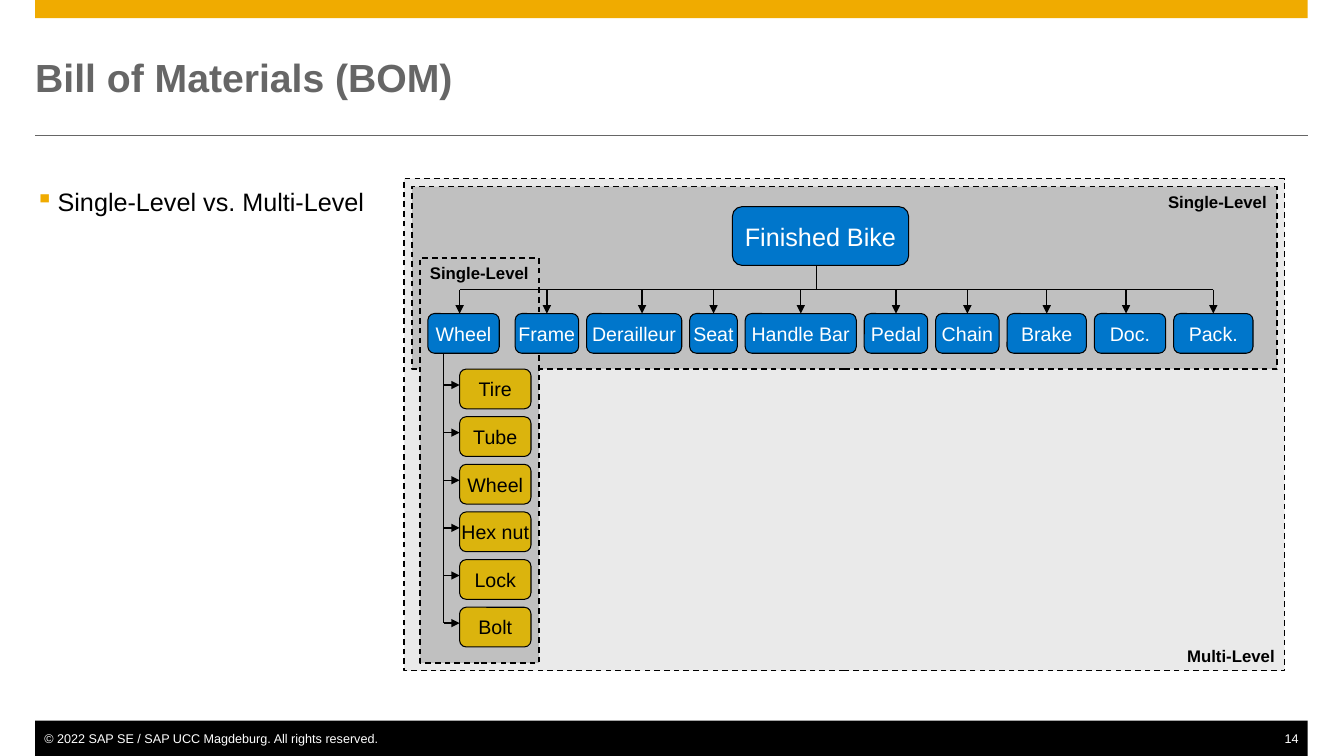
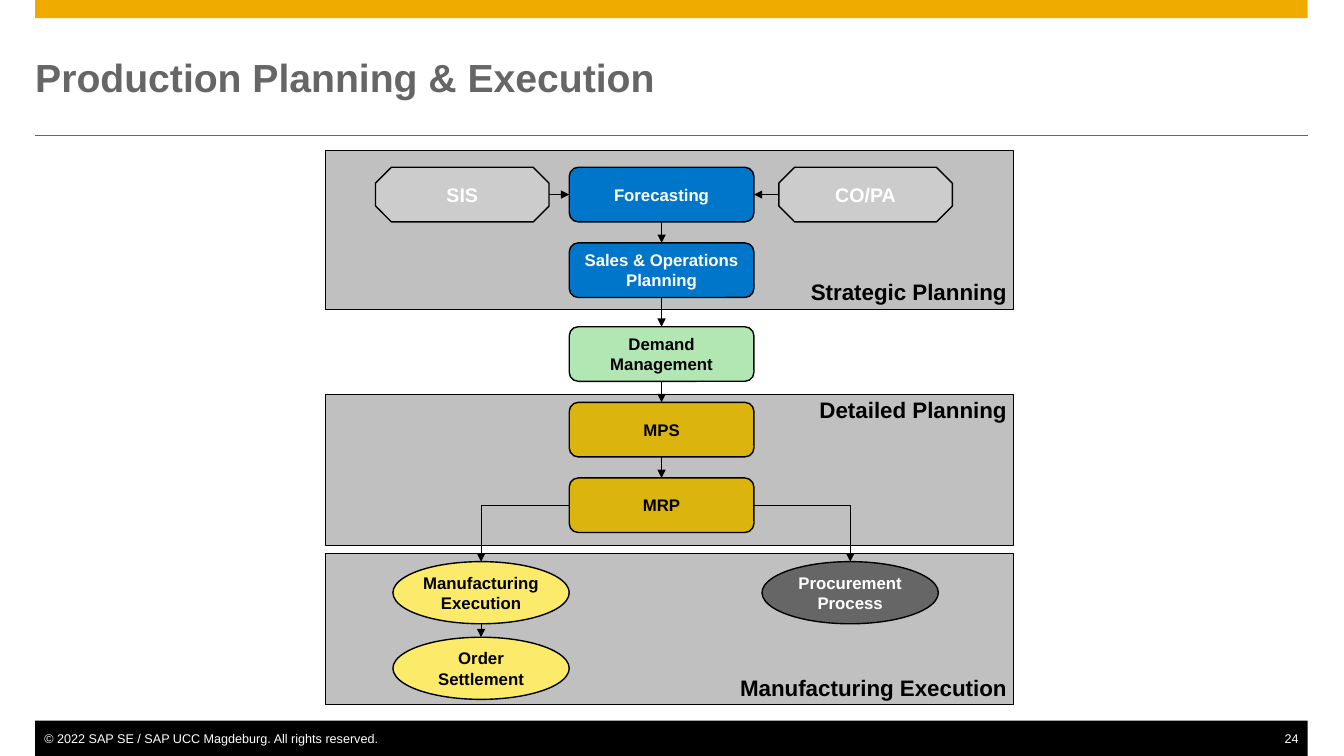
import pptx
import pptx.dml.color
import pptx.enum.dml
import pptx.enum.shapes
import pptx.enum.text
import pptx.oxml.ns
import pptx.util
from lxml import etree

Pt = pptx.util.Pt
qn = pptx.oxml.ns.qn
color = pptx.dml.color.RGBColor.from_string
SHAPE = pptx.enum.shapes.MSO_SHAPE
CONNECTOR = pptx.enum.shapes.MSO_CONNECTOR
ALIGN = pptx.enum.text.PP_ALIGN
ANCHOR = pptx.enum.text.MSO_ANCHOR

BLACK, WHITE, GRAY = "000000", "FFFFFF", "666666"
BLUE, OCHRE, ORANGE, SILVER = "0076CB", "DBB40D", "F0AB00", "C0C0C0"
GREEN, YELLOW, LIGHT_GRAY = "B2E6B2", "FCEB6A", "CCCCCC"

MARGIN, CONTENT_WIDTH = 25.2, 909.4
FOOTER_TOP, FOOTER_HEIGHT = 514.8, 25.2


def add_box(slide, kind, bounds, text="", fill=None, weight=0, dashed=False, size=12, bold=False,
            ink=BLACK, align=ALIGN.CENTER, anchor=ANCHOR.MIDDLE, insets=(7.2, 3.6, 7.2, 3.6)):
    """Add a preset shape, or a wrapping text box when kind is None."""
    lengths = [Pt(value) for value in bounds]
    if kind is None:
        shape = slide.shapes.add_textbox(*lengths)
    else:
        shape = slide.shapes.add_shape(kind, *lengths)
        shape.shadow.inherit = False
        shape.fill.solid()
        shape.fill.fore_color.rgb = color(fill)
        if weight:
            shape.line.color.rgb = color(BLACK)
            shape.line.width = Pt(weight)
        else:
            shape.line.fill.background()
        if dashed:
            shape.line.dash_style = pptx.enum.dml.MSO_LINE.DASH
    if text:
        frame = shape.text_frame
        sides = ("margin_left", "margin_top", "margin_right", "margin_bottom")
        frame_format = dict(zip(sides, map(Pt, insets)))
        frame_format.update(word_wrap=kind is None, vertical_anchor=anchor)
        for name, value in frame_format.items():
            setattr(frame, name, value)
        paragraph = frame.paragraphs[0]
        paragraph.text = text
        paragraph.alignment = align
        for line_break in paragraph._p.findall(qn("a:br")):
            etree.SubElement(line_break, qn("a:rPr"), sz=str(size * 100))
        for run in paragraph.runs:
            for name, value in {"name": "Arial", "size": Pt(size), "bold": bold}.items():
                setattr(run.font, name, value)
            run.font.color.rgb = color(ink)
    return shape


def add_line(slide, start, end, weight=1, ink=BLACK, arrow=True, elbow=False, begin=None, finish=None):
    """Draw a connector; begin and finish are (shape, site) pairs to join it to."""
    kind = CONNECTOR.ELBOW if elbow else CONNECTOR.STRAIGHT
    connector = slide.shapes.add_connector(kind, *[Pt(value) for value in (*start, *end)])
    if begin:
        connector.begin_connect(*begin)
    if finish:
        connector.end_connect(*finish)
    connector.line.color.rgb = color(ink)
    connector.line.width = Pt(weight)
    properties = connector._element.spPr
    if elbow:
        properties.find(qn("a:prstGeom")).set("prst", "bentConnector2")
    if arrow:
        etree.SubElement(properties.find(qn("a:ln")), qn("a:tailEnd"), type="triangle")
    etree.SubElement(properties, qn("a:effectLst"))


presentation = pptx.Presentation()
presentation.slide_width = Pt(960.5)
presentation.slide_height = Pt(540)

# Shared frame: top band, title, rule and footer
slides = []
for title, number in (("Bill of Materials (BOM)", "14"), ("Production Planning & Execution", "24")):
    slide = presentation.slides.add_slide(presentation.slide_layouts[6])
    slides.append(slide)
    add_box(slide, SHAPE.RECTANGLE, (MARGIN, 0, CONTENT_WIDTH, 13), fill=ORANGE)
    add_line(slide, (MARGIN, 97), (MARGIN + CONTENT_WIDTH, 97), weight=0.5, ink=GRAY, arrow=False)
    add_box(slide, SHAPE.RECTANGLE, (MARGIN, FOOTER_TOP, CONTENT_WIDTH, FOOTER_HEIGHT), fill=BLACK)
    for text, left, width, align in (
        ("© 2022 SAP SE / SAP UCC Magdeburg. All rights reserved.", MARGIN, 300, ALIGN.LEFT),
        (number, MARGIN + CONTENT_WIDTH - 40, 40, ALIGN.RIGHT),
    ):
        add_box(slide, None, (left, FOOTER_TOP, width, FOOTER_HEIGHT), text,
                size=9, ink=WHITE, align=align, insets=(6.5, 0, 6.5, 0))
    add_box(slide, None, (MARGIN, 25.2, CONTENT_WIDTH, 59.8), title,
            size=28, bold=True, ink=GRAY, align=ALIGN.LEFT, insets=(0, 0, 0, 0))
bom_slide, planning_slide = slides

# Bill of materials: bullet
bullet_box = add_box(bom_slide, None, (MARGIN, 133.2, 250, 30), "Single-Level vs. Multi-Level",
                     size=18, align=ALIGN.LEFT, anchor=ANCHOR.TOP, insets=(0, 0, 0, 0))
bullet_properties = bullet_box.text_frame.paragraphs[0]._p.get_or_add_pPr()
bullet_properties.set("marL", str(Pt(16)))
bullet_properties.set("indent", str(Pt(-16)))
bullet_color = etree.SubElement(bullet_properties, qn("a:buClr"))
etree.SubElement(bullet_color, qn("a:srgbClr"), val=ORANGE)
etree.SubElement(bullet_properties, qn("a:buChar"), char="▪")

# Bill of materials: tree, laid out in grid units from the corner of the outer frame
UNIT, TREE_LEFT, TREE_TOP = 5.67, 288.8, 127.6
BUS_ROW, PART_ROW, PART_HEIGHT = 14, 17, 5

for text, column, row, columns, rows, fill, align, anchor in (
    ("Multi-Level", 0, 0, 111, 62, "EAEAEA", ALIGN.RIGHT, ANCHOR.BOTTOM),
    ("Single-Level", 1, 1, 109, 23, SILVER, ALIGN.RIGHT, ANCHOR.TOP),
    ("Single-Level", 2, 10, 15, 51, SILVER, ALIGN.LEFT, ANCHOR.TOP),
):
    bounds = (TREE_LEFT + column * UNIT, TREE_TOP + row * UNIT, columns * UNIT, rows * UNIT)
    add_box(bom_slide, SHAPE.RECTANGLE, bounds, text, fill, weight=1, dashed=True,
            bold=True, align=align, anchor=anchor)

bus_y = TREE_TOP + BUS_ROW * UNIT
part_y = TREE_TOP + PART_ROW * UNIT
stem_x = TREE_LEFT + 52 * UNIT
add_box(bom_slide, SHAPE.ROUNDED_RECTANGLE, (523.4, 147.6, 126, 42), "Finished Bike",
        BLUE, weight=0.75, size=18, ink=WHITE)
add_line(bom_slide, (stem_x, 189.6), (stem_x, bus_y), arrow=False)

column = 3
drop_xs = []
for text, columns, drop, gap in (
    ("Wheel", 9, 4, 2), ("Frame", 8, 4, 1), ("Derailleur", 12, 7, 1), ("Seat", 6, 3, 1),
    ("Handle Bar", 14, 7, 1), ("Pedal", 8, 4, 1), ("Chain", 8, 4, 1), ("Brake", 10, 5, 1),
    ("Doc.", 9, 4, 1), ("Pack.", 10, 5, 1),
):
    part_x = TREE_LEFT + column * UNIT
    part = add_box(bom_slide, SHAPE.ROUNDED_RECTANGLE, (part_x, part_y, columns * UNIT, PART_HEIGHT * UNIT),
                   text, BLUE, weight=0.75, size=14, ink=WHITE)
    drop_x = part_x + drop * UNIT
    add_line(bom_slide, (drop_x, bus_y), (drop_x, part_y),
             finish=(part, 0) if drop * 2 == columns else None)
    drop_xs.append(drop_x)
    column += columns + gap
add_line(bom_slide, (drop_xs[-1], bus_y), (drop_xs[0], bus_y), arrow=False)

trunk_x = TREE_LEFT + 5 * UNIT
wheel_part_x = TREE_LEFT + 7 * UNIT
for index, text in enumerate(("Tire", "Tube", "Wheel", "Hex nut", "Lock", "Bolt")):
    top = TREE_TOP + (24 + 6 * index) * UNIT
    branch_y = top + 2 * UNIT
    add_box(bom_slide, SHAPE.ROUNDED_RECTANGLE, (wheel_part_x, top, 9 * UNIT, PART_HEIGHT * UNIT),
            text, OCHRE, weight=0.75, size=14)
    add_line(bom_slide, (trunk_x, branch_y), (wheel_part_x, branch_y))
add_line(bom_slide, (trunk_x, part_y + PART_HEIGHT * UNIT), (trunk_x, branch_y), arrow=False)

# Production planning: bands and their labels
BAND_LEFT, BAND_WIDTH, LABEL_WIDTH = 232.6, 492, 220
for text, top, height, label_top in (
    ("Strategic Planning", 107.3, 113.8, 195.1),
    ("Detailed Planning", 281.5, 108, 279.4),
    ("Manufacturing Execution", 395.3, 108, 478.1),
):
    add_box(planning_slide, SHAPE.RECTANGLE, (BAND_LEFT, top, BAND_WIDTH, height), fill=SILVER, weight=0.75)
    label_left = BAND_LEFT + BAND_WIDTH + 2 - LABEL_WIDTH
    add_box(planning_slide, None, (label_left, label_top, LABEL_WIDTH, 26.6), text,
            size=16, bold=True, align=ALIGN.RIGHT, anchor=ANCHOR.TOP)

# Production planning: central column of steps
STEP_LEFT, STEP_WIDTH, STEP_HEIGHT = 406.8, 132, 39
steps = []
for text, top, fill, ink in (
    ("Forecasting", 119.5, BLUE, WHITE),
    ("Sales & Operations\nPlanning", 173.5, BLUE, WHITE),
    ("Demand\nManagement", 233.4, GREEN, BLACK),
    ("MPS", 287.4, OCHRE, BLACK),
    ("MRP", 341.4, OCHRE, BLACK),
):
    step = add_box(planning_slide, SHAPE.ROUNDED_RECTANGLE, (STEP_LEFT, top, STEP_WIDTH, STEP_HEIGHT),
                   text, fill, weight=1, bold=True, ink=ink)
    if steps:
        add_line(planning_slide, (0, 0), (0, 0), weight=0.75, begin=(steps[-1], 2), finish=(step, 0))
    steps.append(step)
forecasting, mrp = steps[0], steps[-1]

# Production planning: inputs to forecasting
INPUT_WIDTH = 124
for text, left, edge, site in (("SIS", 268.4, 268.4 + INPUT_WIDTH, 1), ("CO/PA", 556.6, 556.6, 3)):
    source = add_box(planning_slide, SHAPE.OCTAGON, (left, 119.5, INPUT_WIDTH, STEP_HEIGHT), text,
                     LIGHT_GRAY, weight=1, size=14, bold=True, ink=WHITE)
    source.adjustments[0] = 0.29
    middle = 119.5 + STEP_HEIGHT / 2
    add_line(planning_slide, (edge, middle), (edge, middle), weight=0.75, finish=(forecasting, site))

# Production planning: execution
ELLIPSE_WIDTH, ELLIPSE_HEIGHT = 126, 44.4
execution_left, procurement_left = 280.8, 544.6
ellipses = []
for text, left, top, fill, ink in (
    ("Manufacturing\nExecution", execution_left, 401.2, YELLOW, BLACK),
    ("Procurement\nProcess", procurement_left, 401.2, GRAY, WHITE),
    ("Order\nSettlement", execution_left, 455.2, YELLOW, BLACK),
):
    ellipses.append(add_box(planning_slide, SHAPE.OVAL, (left, top, ELLIPSE_WIDTH, ELLIPSE_HEIGHT),
                            text, fill, weight=1, bold=True, ink=ink))
execution, procurement, settlement = ellipses
for site, target in ((1, execution), (3, procurement)):
    add_line(planning_slide, (0, 0), (0, 0), weight=0.75, elbow=True, begin=(mrp, site), finish=(target, 0))
execution_bottom = (execution_left + ELLIPSE_WIDTH / 2, 401.2 + ELLIPSE_HEIGHT)
add_line(planning_slide, execution_bottom, execution_bottom, weight=0.75, finish=(settlement, 0))

presentation.save("out.pptx")
